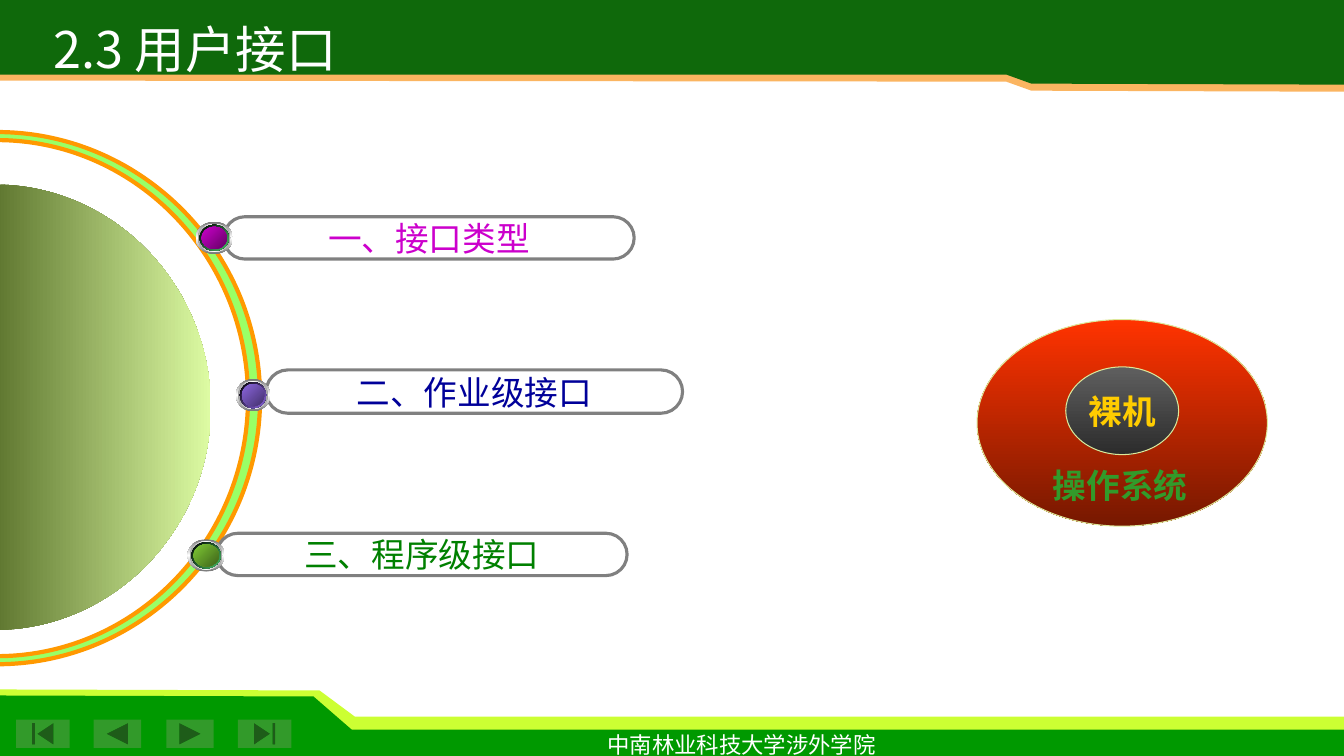
from lxml.etree import SubElement
from pptx import Presentation
from pptx.dml.color import RGBColor
from pptx.enum.shapes import MSO_SHAPE
from pptx.enum.text import MSO_ANCHOR, MSO_AUTO_SIZE, PP_ALIGN
from pptx.oxml.ns import qn
from pptx.util import Inches, Pt


class Theme:
    latin, cjk = "Times New Roman", "Noto Sans CJK SC"
    title_size, body_size, footer_size = 36, 24, 16
    white, peach, forest = "FFFFFF", "FBB561", "0F690B"
    lime, green, button = "CCFF33", "009900", "329A2A"
    ring, ring_edge, bar_edge = "99FF66", "FF9900", "808080"
    disc = ("5E762F", "DDFBA3")
    system, machine = ("FF3300", "761800"), ("5F5F5F", "2C2C2C")
    oval_edge, machine_text = "DDE89A", "FFCC00"
    rim, bevel = ("767676", "FFFFFF", "767676"), ("A2A2A2", "FFFFFF", "A2A2A2")


# Content
TITLE = "2.3 用户接口"
FOOTER = "中南林业科技大学涉外学院"
SYSTEM, MACHINE = "操作系统", "裸机"
# text, text colour, bar box, dot box, dot glow, dot core
TOPICS = [
    ("三、程序级接口", "008000", (2.15, 5.29, 4.07, 0.42), (1.86, 5.35, 0.37, 0.32),
     "48BE67", ("80CB35", "3E631A")),
    ("一、接口类型", "CC00CC", (2.22, 2.15, 4.07, 0.42), (1.94, 2.2, 0.37, 0.32),
     "48BE67", ("CC00CC", "630063")),
    ("二、作业级接口", "000099", (2.64, 3.67, 4.13, 0.43), (2.34, 3.76, 0.34, 0.32),
     "8D67E1", ("8D67E1", "45326D")),
]
BANDS = [
    (Theme.lime, [(0, 7.4), (13.33, 7.4), (13.33, 7.11), (3.52, 7.11), (3.17, 6.85), (0, 6.84)]),
    (Theme.green, [(0, 7.5), (13.33, 7.5), (13.33, 7.24), (3.49, 7.24), (3.11, 6.91), (0, 6.9)]),
    (Theme.peach, [(13.33, 0), (0, 0), (0, 0.8), (9.98, 0.81), (10.23, 0.9), (13.33, 0.91)]),
    (Theme.forest, [(13.33, 0), (0, 0), (0, 0.74), (9.98, 0.74), (10.23, 0.83), (13.33, 0.84)]),
]
BUTTONS = [
    (MSO_SHAPE.ACTION_BUTTON_BEGINNING, 0.16, 0.53),
    (MSO_SHAPE.ACTION_BUTTON_BACK_OR_PREVIOUS, 0.93, 0.47),
    (MSO_SHAPE.ACTION_BUTTON_FORWARD_OR_NEXT, 1.65, 0.47),
    (MSO_SHAPE.ACTION_BUTTON_END, 2.36, 0.53),
]


def rgb(color):
    return RGBColor.from_string(color)


def paint(shape, fill=None, angle=0, edge=None, weight=0.75):
    """Fill with nothing, one colour, or a tuple of evenly spaced gradient colours."""
    shape.shadow.inherit = False
    if fill is None:
        shape.fill.background()
    elif isinstance(fill, str):
        shape.fill.solid()
        shape.fill.fore_color.rgb = rgb(fill)
    else:
        shape.fill.gradient()
        gradient = shape.element.spPr.find(qn("a:gradFill"))
        stops = gradient.find(qn("a:gsLst"))
        for stop in list(stops):
            stops.remove(stop)
        for i, color in enumerate(fill):
            stop = SubElement(stops, qn("a:gs"), pos=str(100000 * i // (len(fill) - 1)))
            SubElement(stop, qn("a:srgbClr"), val=color)
        gradient.find(qn("a:lin")).set("ang", str(angle * 60000))
    if edge:
        shape.line.color.rgb = rgb(edge)
        shape.line.width = Pt(weight)
    else:
        shape.line.fill.background()
    return shape


def add_shape(shapes, kind, box):
    return shapes.add_shape(kind, *map(Inches, box))


def add_outline(shapes, points):
    start, *rest = [(Inches(x), Inches(y)) for x, y in points]
    builder = shapes.build_freeform(*start)
    builder.add_line_segments(rest, close=True)
    return builder.convert_to_shape()


def half_ellipse(left, center_y, rx, ry):
    """Right half of an ellipse, top to bottom, as two cubic curves in seven points."""
    kx, ky = 0.55 * rx, 0.55 * ry
    steps = [(0, -ry), (kx, -ry), (rx, -ky), (rx, 0), (rx, ky), (kx, ry), (0, ry)]
    return [(left + dx, center_y + dy) for dx, dy in steps]


def add_curved_outline(shapes, *halves):
    """Join half ellipses, folding the three segments of each curve into one."""
    shape = add_outline(shapes, [point for half in halves for point in half])
    segments = list(shape.element.iter(qn("a:lnTo")))
    for first in range(0, len(segments), 7):
        for begin in (first, first + 3):
            curve, *others = segments[begin:begin + 3]
            curve.tag = qn("a:cubicBezTo")
            for other in others:
                curve.append(other[0])
                other.getparent().remove(other)
    return shape


def write(shape, text, size, color, anchor=MSO_ANCHOR.MIDDLE, bold=False, latin=Theme.latin):
    frame = shape.text_frame
    frame.word_wrap = False
    frame.vertical_anchor = anchor
    paragraph = frame.paragraphs[0]
    paragraph.alignment = PP_ALIGN.CENTER
    run = paragraph.add_run()
    run.text = text
    font = run.font
    font.size, font.bold, font.name = Pt(size), bold, latin
    font.color.rgb = rgb(color)
    SubElement(run._r.get_or_add_rPr(), qn("a:ea"), typeface=Theme.cjk)


prs = Presentation()
prs.slide_width, prs.slide_height = Inches(13.33), Inches(7.5)
slide = prs.slides.add_slide(prs.slide_layouts[5])
shapes = slide.shapes

# Header and footer bands, navigation buttons
for color, points in BANDS[:2]:
    paint(add_outline(shapes, points), color)
for kind, left, width in BUTTONS:
    paint(add_shape(shapes, kind, (left, 7.14, width, 0.28)), Theme.button)
for color, points in BANDS[2:]:
    paint(add_outline(shapes, points), color)
footer = shapes.add_textbox(*map(Inches, (5.91, 7.2, 2.89, 0.37)))
write(footer, FOOTER, Theme.footer_size, Theme.white, MSO_ANCHOR.TOP)

# Ring and shaded half disc
outer = half_ellipse(-0.03, 3.95, 2.61, 2.64)
inner = half_ellipse(-0.03, 3.95, 2.49, 2.56)
ring = add_curved_outline(shapes, outer, inner[::-1])
paint(ring, Theme.ring, edge=Theme.ring_edge, weight=3)
disc = add_curved_outline(shapes, half_ellipse(-0.06, 4.04, 2.15, 2.21))
paint(disc, Theme.disc)

# Topics: a rounded bar with a layered dot
for text, color, bar_box, (x, y, w, h), glow, core in TOPICS:
    topic = shapes.add_group_shape().shapes
    bar = add_shape(topic, MSO_SHAPE.ROUNDED_RECTANGLE, bar_box)
    bar.adjustments[0] = 0.5
    paint(bar, edge=Theme.bar_edge, weight=2.25)
    write(bar, text, Theme.body_size, color)
    layers = [(0, 0, Theme.rim, 90), (0.02, 0.02, Theme.bevel, 0),
              (0.04, 0.03, ("000000", glow), 45), (0.06, 0.05, core, 45)]
    for dx, dy, fill, angle in layers:
        box = (x + dx, y + dy, w - 2 * dx, h - 2 * dy)
        paint(add_shape(topic, MSO_SHAPE.OVAL, box), fill, angle)

# Operating system around the bare machine
diagram = shapes.add_group_shape().shapes
system = add_shape(diagram, MSO_SHAPE.OVAL, (9.69, 3.17, 2.88, 2.05))
paint(system, Theme.system, 90, Theme.oval_edge)
system_label = diagram.add_textbox(*map(Inches, (10.34, 4.56, 1.54, 0.5)))
write(system_label, SYSTEM, Theme.body_size, Theme.button, MSO_ANCHOR.TOP, bold=True)
machine = add_shape(diagram, MSO_SHAPE.OVAL, (10.57, 3.64, 1.12, 0.87))
paint(machine, Theme.machine, 90, Theme.oval_edge)
write(machine, MACHINE, Theme.body_size, Theme.machine_text, bold=True)

# Title, brought in front of the header band
title = shapes.title
title.left, title.top, title.width, title.height = map(Inches, (0.44, 0.13, 2.99, 0.46))
write(title, TITLE, Theme.title_size, Theme.white, MSO_ANCHOR.TOP, latin=Theme.cjk)
title.text_frame.auto_size = MSO_AUTO_SIZE.NONE
title.text_frame.margin_left = title.text_frame.margin_right = 0
title.element.getparent().append(title.element)

prs.save("out.pptx")
